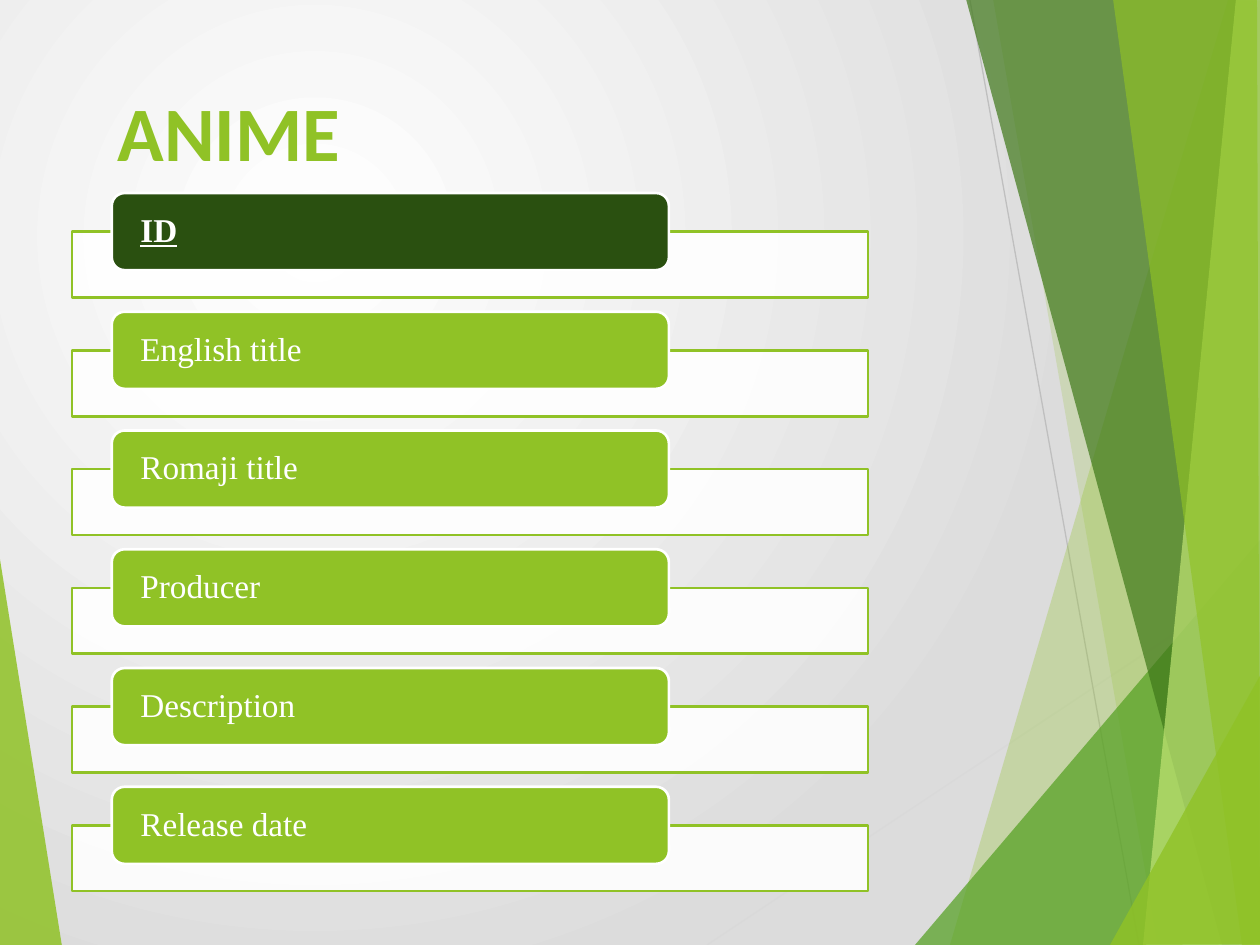
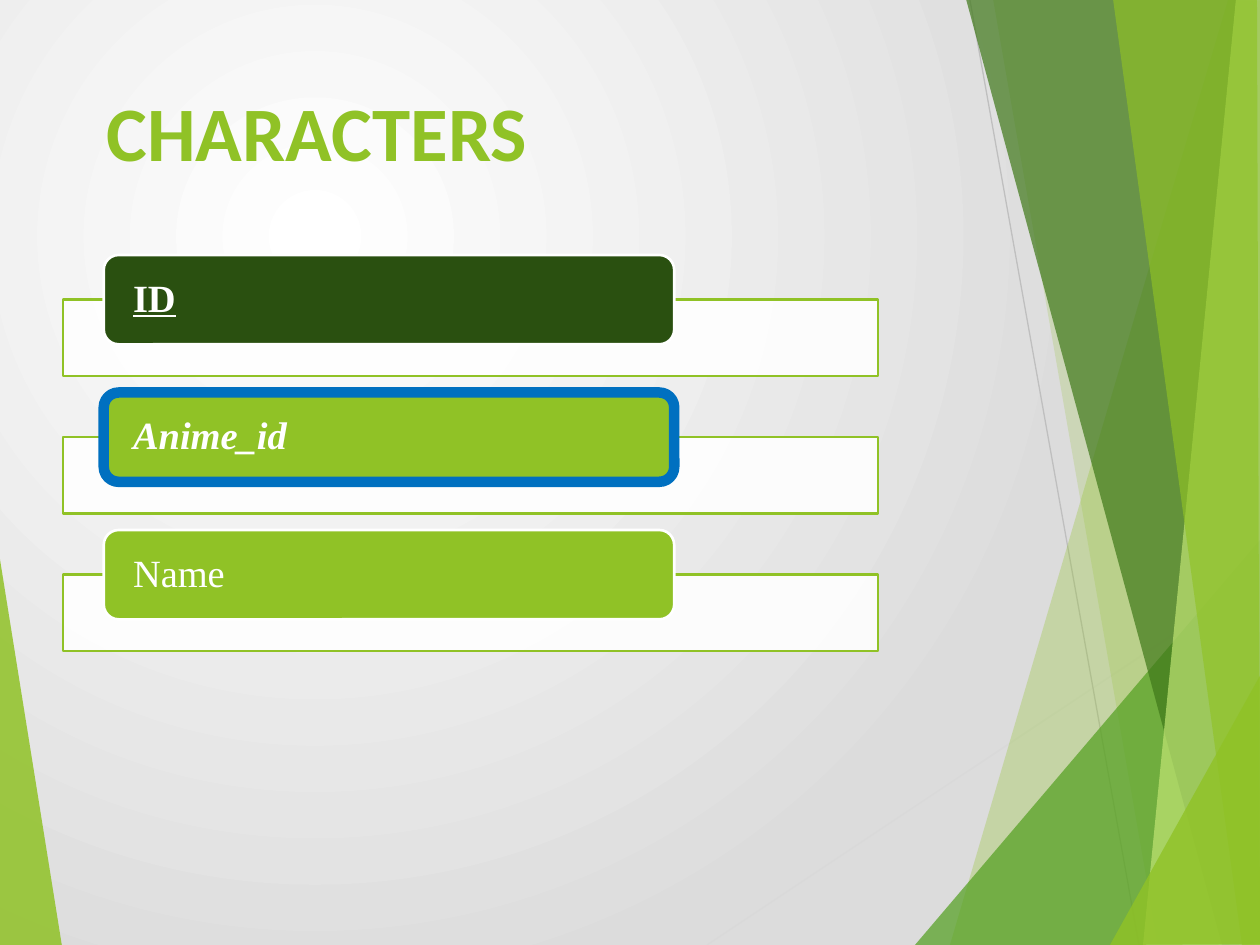
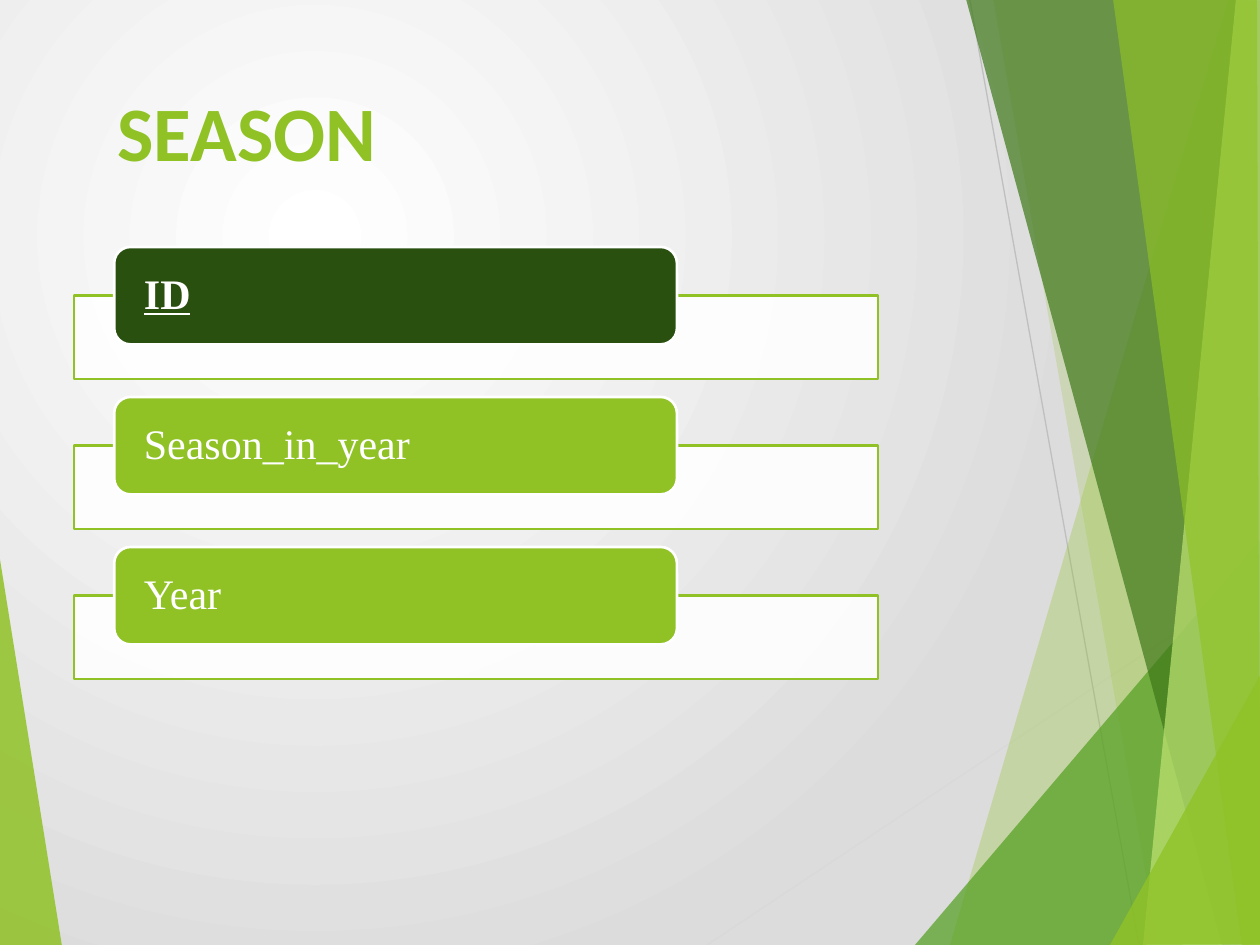
from pptx import Presentation
from pptx.dml.color import RGBColor
from pptx.enum.shapes import MSO_CONNECTOR, MSO_SHAPE
from pptx.enum.text import MSO_ANCHOR, MSO_AUTO_SIZE, PP_ALIGN
from pptx.oxml.ns import qn
from pptx.util import Pt
from lxml.etree import SubElement

EMU_PER_PX = 914400 / 126
WIDTH, HEIGHT = 1260, 945

LIME = RGBColor(0x90, 0xC2, 0x26)
PALE_LIME = RGBColor(0xC0, 0xE4, 0x74)
GREEN = RGBColor(0x54, 0xA0, 0x21)
FOREST = RGBColor(0x3F, 0x78, 0x19)
DARK = RGBColor(0x2A, 0x50, 0x10)
BLUE = RGBColor(0x00, 0x70, 0xC0)
WHITE = RGBColor(0xFF, 0xFF, 0xFF)
MIST = RGBColor(0xDC, 0xDC, 0xDC)
SILVER = RGBColor(0xD9, 0xD9, 0xD9)
GREY = RGBColor(0xBF, 0xBF, 0xBF)

TITLE_FONT, BODY_FONT = "Calibri", "Times New Roman"

# Backdrop lines: start, end, colour
RAYS = [
    ((707, 945), (1261, 576), SILVER),
    ((970, 0), (1139, 945), GREY),
]
# Backdrop facets from back to front: colour, opacity in percent, corners
FACETS = [
    (LIME, 85, [(-1, 553), (62, 946), (-1, 945)]),
    (LIME, 30, [(1228, 0), (950, 945), (1262, 946), (1261, 1)]),
    (LIME, 20, [(993, -1), (1158, 945), (1261, 945), (1261, -1)]),
    (GREEN, 72, [(915, 945), (1260, 540), (1261, 945)]),
    (FOREST, 70, [(966, -1), (1222, 945), (1261, 944), (1261, -1)]),
    (PALE_LIME, 70, [(1236, -1), (1143, 945), (1261, 945), (1260, -1)]),
    (LIME, 65, [(1113, -1), (1242, 945), (1260, 945), (1257, -1)]),
    (LIME, 80, [(1110, 945), (1261, 674), (1261, 944)]),
]

# Each table of the database: its fields, with the kind of key they are
TABLES = [
    dict(title="ANIME", title_left=105, title_width=250,
         left=72, top=193, width=796, size=19,
         fields=[("ID", "primary"), ("English title", ""), ("Romaji title", ""),
                 ("Producer", ""), ("Description", ""), ("Release date", "")]),
    dict(title="CHARACTERS", title_left=94, title_width=450,
         left=63, top=255, width=815, size=22,
         fields=[("ID", "primary"), ("Anime_id", "foreign"), ("Name", "")]),
    dict(title="SEASON", title_left=105, title_width=287,
         left=74, top=247, width=804, size=24,
         fields=[("ID", "primary"), ("Season_in_year", ""), ("Year", "")]),
]
TITLE_TOP, TITLE_HEIGHT = 78, 106
LABEL_INSET = 25

# Row measures in px per point of label size
PITCH, LABEL_HEIGHT, BAR_HEIGHT = 6.25, 4.06, 3.47


def px(n):
    return round(n * EMU_PER_PX)


def paint(shape, fill, opacity=100, line=None, line_width=1.5):
    shape.shadow.inherit = False
    shape.fill.solid()
    shape.fill.fore_color.rgb = fill
    if opacity < 100:
        color = shape.element.spPr.find(qn("a:solidFill"))[0]
        SubElement(color, qn("a:alpha"), val=str(opacity * 1000))
    if line is None:
        shape.line.fill.background()
    else:
        shape.line.color.rgb = line
        shape.line.width = Pt(line_width)


def add_box(s, kind, left, top, width, height):
    return s.shapes.add_shape(kind, px(left), px(top), px(width), px(height))


def set_background(layout):
    """Radial gradient spreading from the upper left quarter."""
    fill = layout.background.fill
    fill.gradient()
    for stop, color in zip(fill.gradient_stops, (WHITE, MIST)):
        stop.color.rgb = color
    grad = layout.element.find(".//" + qn("a:gradFill"))
    grad.remove(grad.find(qn("a:lin")))
    circle = SubElement(grad, qn("a:path"), path="circle")
    SubElement(circle, qn("a:fillToRect"),
               l="50000", t="50000", r="100000", b="100000")


def add_backdrop(s):
    """Draw rays and facets on a slide, then move them to its layout."""
    backdrop = []
    for start, end, color in RAYS:
        ray = s.shapes.add_connector(
            MSO_CONNECTOR.STRAIGHT, *map(px, start + end))
        ray.line.color.rgb = color
        ray.line.width = Pt(0.75)
        SubElement(ray.element.spPr, qn("a:effectLst"))
        backdrop.append(ray)
    for color, opacity, corners in FACETS:
        builder = s.shapes.build_freeform(*corners[0], scale=EMU_PER_PX)
        builder.add_line_segments(corners[1:])
        facet = builder.convert_to_shape()
        paint(facet, color, opacity)
        backdrop.append(facet)
    for number, shape in enumerate(backdrop, 100):
        shape.element.find(".//" + qn("p:cNvPr")).set("id", str(number))
        s.slide_layout.shapes.element.append(shape.element)


def add_title(s, table):
    title = s.shapes.title
    title.left, title.top = px(table["title_left"]), px(TITLE_TOP)
    title.width, title.height = px(table["title_width"]), px(TITLE_HEIGHT)
    tf = title.text_frame
    tf.text = table["title"]
    tf.word_wrap = False
    tf.auto_size = MSO_AUTO_SIZE.SHAPE_TO_FIT_TEXT
    tf.vertical_anchor = MSO_ANCHOR.TOP
    p = tf.paragraphs[0]
    p.alignment = PP_ALIGN.LEFT
    font = p.runs[0].font
    font.name, font.size, font.bold = TITLE_FONT, Pt(44), True
    font.color.rgb = LIME


def add_field(s, table, top, name, key):
    left, width, size = table["left"], table["width"], table["size"]
    height = LABEL_HEIGHT * size
    bar = add_box(s, MSO_SHAPE.RECTANGLE,
                  left, top + height / 2, width, BAR_HEIGHT * size)
    paint(bar, WHITE, 90, LIME)

    label = add_box(s, MSO_SHAPE.ROUNDED_RECTANGLE,
                    left + 0.05 * width, top, 0.7 * width, height)
    foreign = key == "foreign"
    paint(label, DARK if key == "primary" else LIME,
          line=BLUE if foreign else WHITE, line_width=6 if foreign else 1.5)

    tf = label.text_frame
    tf.text = name
    tf.word_wrap = True
    tf.vertical_anchor = MSO_ANCHOR.MIDDLE
    tf.margin_left = tf.margin_right = px(LABEL_INSET)
    tf.margin_top = tf.margin_bottom = 0
    p = tf.paragraphs[0]
    p.alignment = PP_ALIGN.LEFT
    p.line_spacing = 0.9
    font = p.runs[0].font
    font.name, font.size = BODY_FONT, Pt(size)
    font.color.rgb = WHITE
    font.bold = bool(key)
    font.underline = key == "primary"
    font.italic = foreign


def main():
    prs = Presentation()
    prs.slide_width, prs.slide_height = px(WIDTH), px(HEIGHT)
    layout = prs.slide_layouts.get_by_name("Title Only")
    set_background(layout)
    for table in TABLES:
        s = prs.slides.add_slide(layout)
        if table is TABLES[0]:
            add_backdrop(s)
        add_title(s, table)
        for i, (name, key) in enumerate(table["fields"]):
            top = table["top"] + i * PITCH * table["size"]
            add_field(s, table, top, name, key)
    prs.save("out.pptx")


if __name__ == "__main__":
    main()
